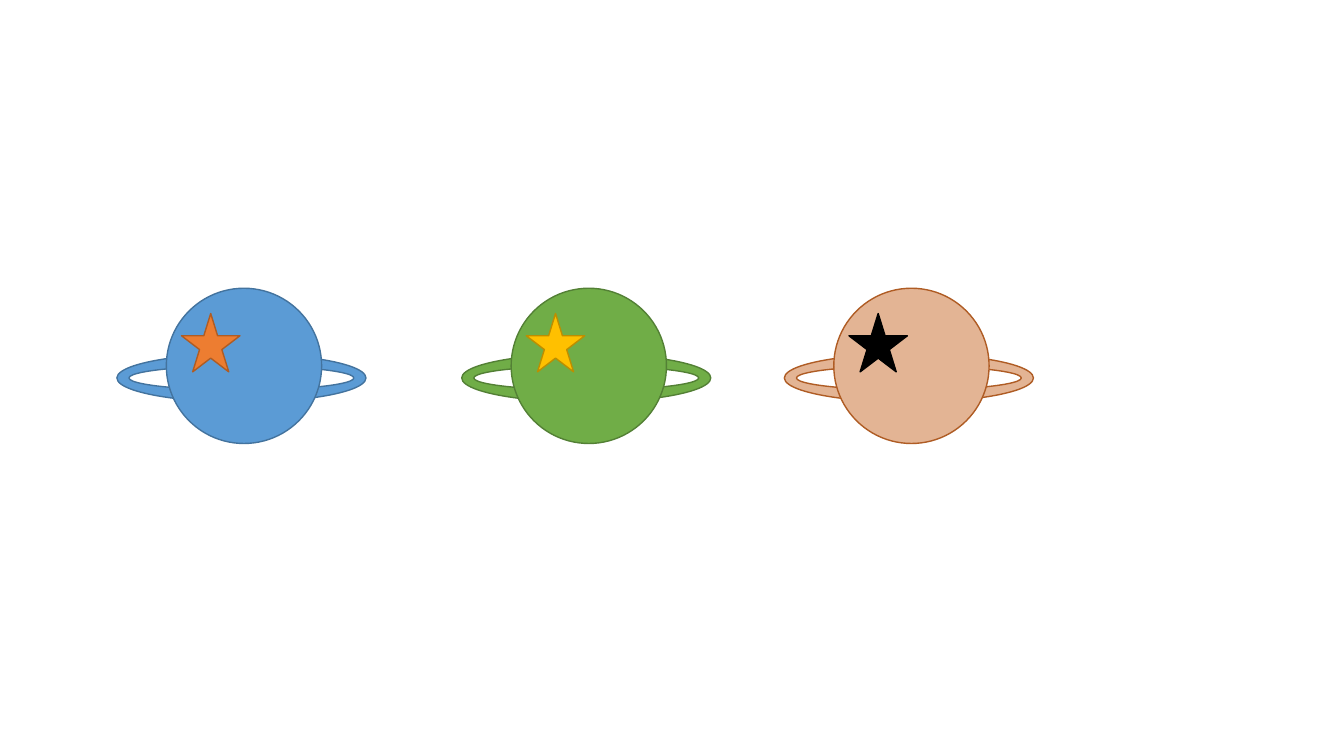
from pptx import Presentation
from pptx.dml.color import RGBColor
from pptx.enum.shapes import MSO_SHAPE as Preset
from pptx.util import Inches, Pt

COLORS = {
    "blue": "5B9BD5",
    "blue_edge": "43739E",
    "green": "70AD47",
    "green_edge": "538035",
    "peach": "E3B494",
    "orange": "ED7D31",
    "orange_edge": "AF5C24",
    "gold": "FFC000",
    "gold_edge": "BD8E00",
    "black": "000000",
}

PLANETS = [
    (1.16, "blue", "blue_edge", "orange", "orange_edge"),
    (4.58, "green", "green_edge", "gold", "gold_edge"),
    (7.78, "peach", "orange_edge", "black", "black"),
]


def add_part(group, preset, left, top, width, height, fill, edge):
    shape = group.shapes.add_shape(
        preset, Inches(left), Inches(top), Inches(width), Inches(height)
    )
    shape.shadow.inherit = False
    shape.fill.solid()
    shape.fill.fore_color.rgb = RGBColor.from_string(COLORS[fill])
    shape.line.color.rgb = RGBColor.from_string(COLORS[edge])
    shape.line.width = Pt(1)


def add_planet(slide, left, body, body_edge, star, star_edge):
    group = slide.shapes.add_group_shape()
    add_part(group, Preset.DONUT, left, 3.51, 2.47, 0.48, body, body_edge)
    add_part(group, Preset.OVAL, left + 0.49, 2.86, 1.54, 1.54, body, body_edge)
    add_part(group, Preset.STAR_5_POINT, left + 0.64, 3.11, 0.58, 0.58, star, star_edge)


def main():
    presentation = Presentation()
    presentation.slide_width = Inches(13.33)
    presentation.slide_height = Inches(7.5)
    blank_layout = presentation.slide_layouts.get_by_name("Blank")
    slide = presentation.slides.add_slide(blank_layout)
    for planet in PLANETS:
        add_planet(slide, *planet)
    presentation.save("out.pptx")


if __name__ == "__main__":
    main()
